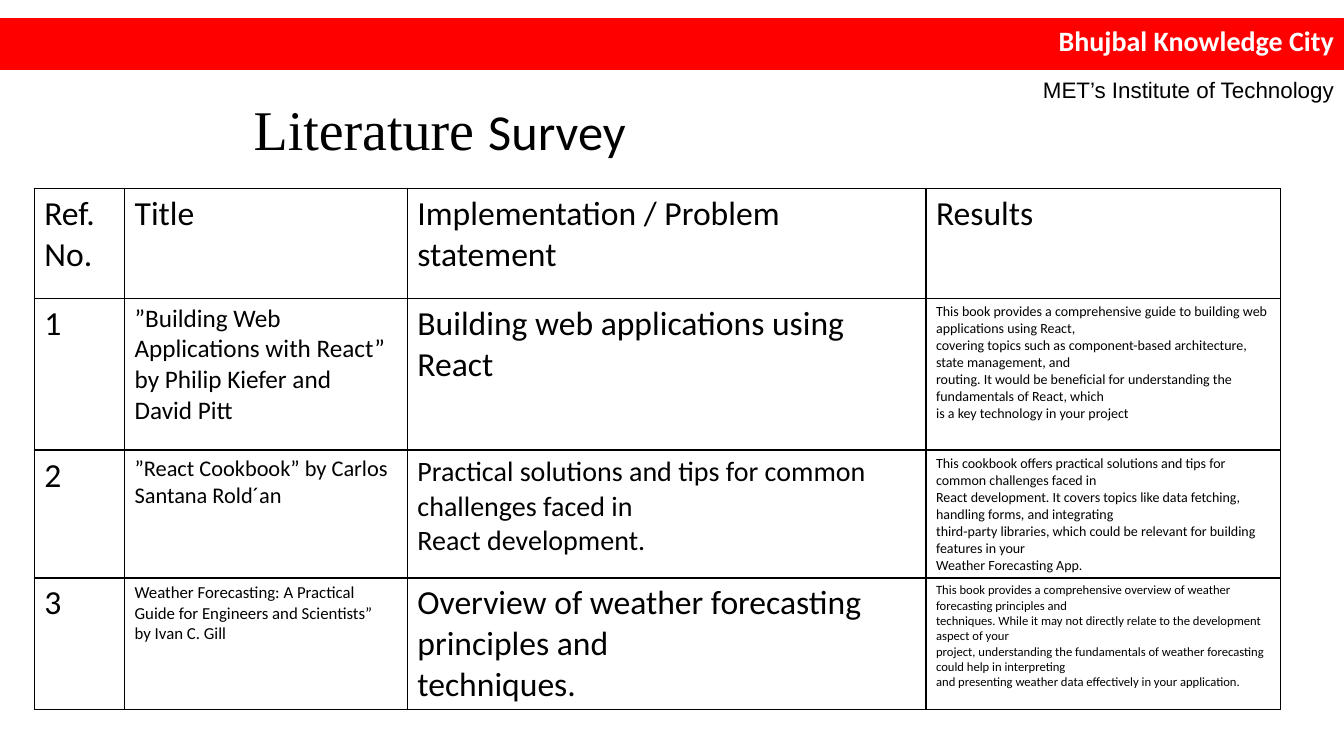
"""Build the literature survey slide: banner, title and reference table."""
import pptx
import pptx.dml.color
import pptx.enum.shapes
import pptx.enum.text
import pptx.oxml
import pptx.oxml.ns
import pptx.util

Pt = pptx.util.Pt
RGB = pptx.dml.color.RGBColor
ALIGN = pptx.enum.text.PP_ALIGN
ANCHOR = pptx.enum.text.MSO_ANCHOR

theme = {
    "red": RGB(255, 0, 0), "black": RGB(0, 0, 0), "white": RGB(255, 255, 255),
    "body": "Calibri", "serif": "Times New Roman", "sans": "Arial",
    "title": 40, "survey": 36, "banner": 20, "school": 16,
    "huge": 24, "large": 20, "mid": 18, "small": 16, "note": 12, "fine": 10, "tiny": 9,
}


def write(para, text, size, font="body", color="black", bold=False):
    run = para.add_run()
    run.text = text
    run.font.size = Pt(theme[size])
    run.font.name = theme[font]
    run.font.color.rgb = theme[color]
    run.font.bold = bold


def edge(cell):
    props = cell._tc.get_or_add_tcPr()
    for index, side in enumerate(("lnL", "lnR", "lnT", "lnB")):
        line = pptx.oxml.parse_xml(
            f'<a:{side} {pptx.oxml.ns.nsdecls("a")} w="{Pt(1)}">'
            f'<a:solidFill><a:srgbClr val="{theme["black"]}"/></a:solidFill></a:{side}>')
        props.insert(index, line)


deck = pptx.Presentation()
deck.slide_width, deck.slide_height = Pt(960), Pt(540)
slide = deck.slides.add_slide(deck.slide_layouts[0])
sub = slide.placeholders[1]
sub.element.getparent().remove(sub.element)

title = slide.shapes.title
title.left, title.top, title.width, title.height = Pt(174), Pt(69), Pt(612), Pt(50.5)
frame = title.text_frame
frame.auto_size = pptx.enum.text.MSO_AUTO_SIZE.NONE
frame.vertical_anchor = ANCHOR.BOTTOM
para = frame.paragraphs[0]
para.alignment = ALIGN.LEFT
para.line_spacing = 0.9
write(para, "Literature ", "title", "serif")
write(para, "Survey", "survey")

head = slide.shapes.add_group_shape()
band = head.shapes.add_shape(
    pptx.enum.shapes.MSO_SHAPE.RECTANGLE, Pt(0), Pt(13.5), Pt(960), Pt(36.5))
band.shadow.inherit = False
band.fill.solid()
band.fill.fore_color.rgb = theme["red"]
band.line.color.rgb = theme["red"]
band.line.width = Pt(0.75)
band.text_frame.vertical_anchor = ANCHOR.TOP
para = band.text_frame.paragraphs[0]
para.alignment = ALIGN.RIGHT
write(para, "Bhujbal Knowledge City", "banner", color="white", bold=True)

school = head.shapes.add_textbox(Pt(664), Pt(51), Pt(296), Pt(26.5))
school.text_frame.word_wrap = True
school.text_frame.vertical_anchor = ANCHOR.MIDDLE
para = school.text_frame.paragraphs[0]
para.alignment = ALIGN.RIGHT
write(para, "MET’s Institute of Technology", "school", "sans")

rows = [
    [("huge", ["Ref.\vNo."]), ("huge", ["Title"]),
     ("huge", ["Implementation / Problem statement"]), ("huge", ["Results"])],
    [("huge", ["1"]),
     ("mid", ["”Building Web Applications with React” by Philip Kiefer and", "David Pitt"]),
     ("huge", ["Building web applications using React"]),
     ("fine", [
         "This book provides a comprehensive guide to building web applications using React,",
         "covering topics such as component-based architecture, state management, and",
         "routing. It would be beneficial for understanding the fundamentals of React, which",
         "is a key technology in your project"])],
    [("huge", ["2"]),
     ("small", ["”React Cookbook” by Carlos Santana Rold´an"]),
     ("large", ["Practical solutions and tips for common challenges faced in",
                "React development."]),
     ("fine", [
         "This cookbook offers practical solutions and tips for common challenges faced in",
         "React development. It covers topics like data fetching, handling forms, and integrating",
         "third-party libraries, which could be relevant for building features in your",
         "Weather Forecasting App."])],
    [("huge", ["3"]),
     ("note", ["Weather Forecasting: A Practical Guide for Engineers and Scientists”",
               "by Ivan C. Gill"]),
     ("huge", ["Overview of weather forecasting principles and", "techniques."]),
     ("tiny", [
         "This book provides a comprehensive overview of weather forecasting principles and",
         "techniques. While it may not directly relate to the development aspect of your",
         "project, understanding the fundamentals of weather forecasting could help in interpreting",
         "and presenting weather data effectively in your application."])],
]
widths = [64.5, 202, 370.5, 253]
heights = [78.5, 108.5, 91, 94]

grid = slide.shapes.add_table(
    len(rows), len(widths), Pt(24.5), Pt(134.5), Pt(sum(widths)), Pt(sum(heights))).table
grid.first_row = False
grid.horz_banding = False
for col, width in zip(grid.columns, widths):
    col.width = Pt(width)
for row, height, items in zip(grid.rows, heights, rows):
    row.height = Pt(height)
    for cell, (size, lines) in zip(row.cells, items):
        cell.fill.background()
        edge(cell)
        for index, line in enumerate(lines):
            frame = cell.text_frame
            para = frame.add_paragraph() if index else frame.paragraphs[0]
            for part, text in enumerate(line.split("\v")):
                if part:
                    para.add_line_break()
                write(para, text, size)

deck.save("out.pptx")
